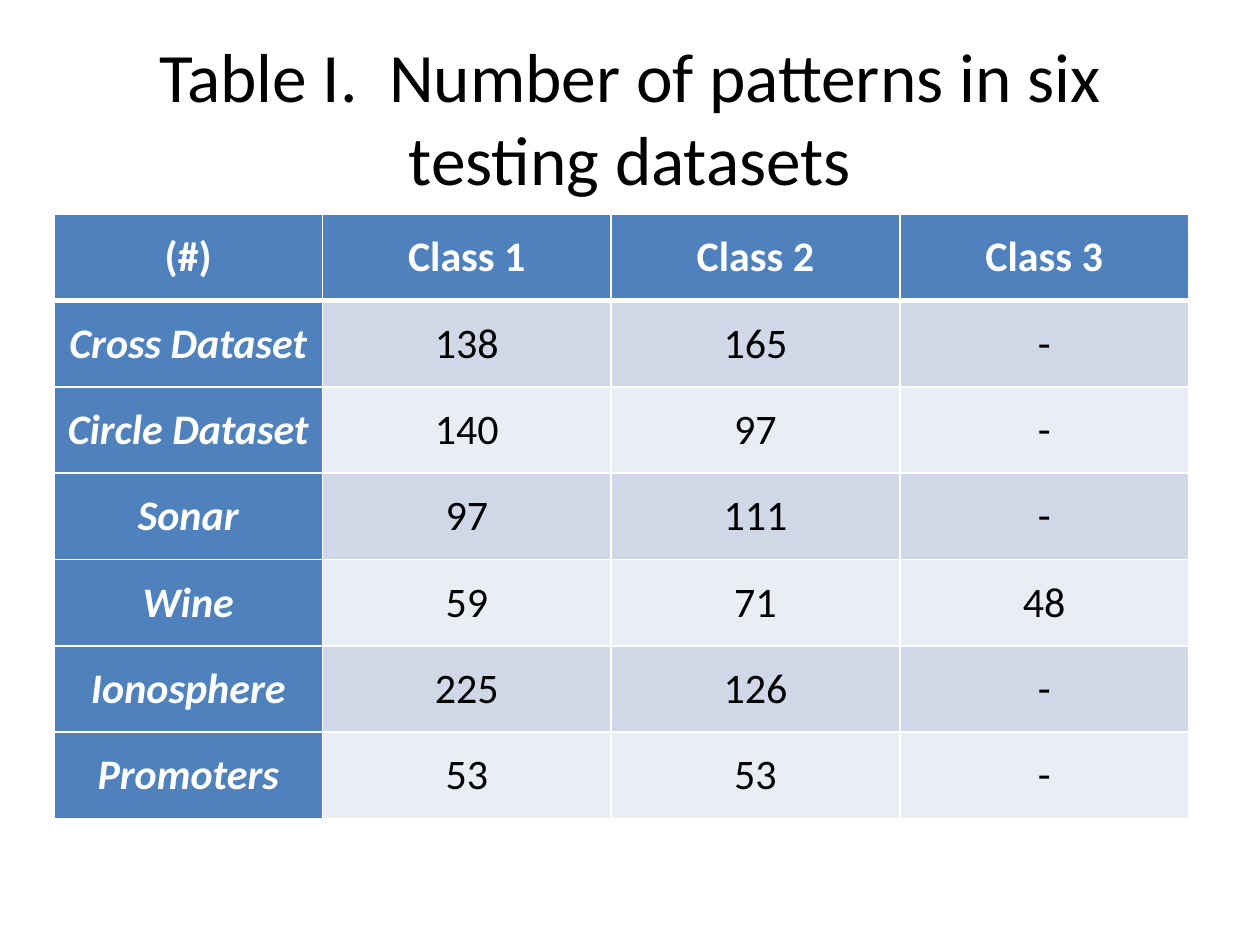
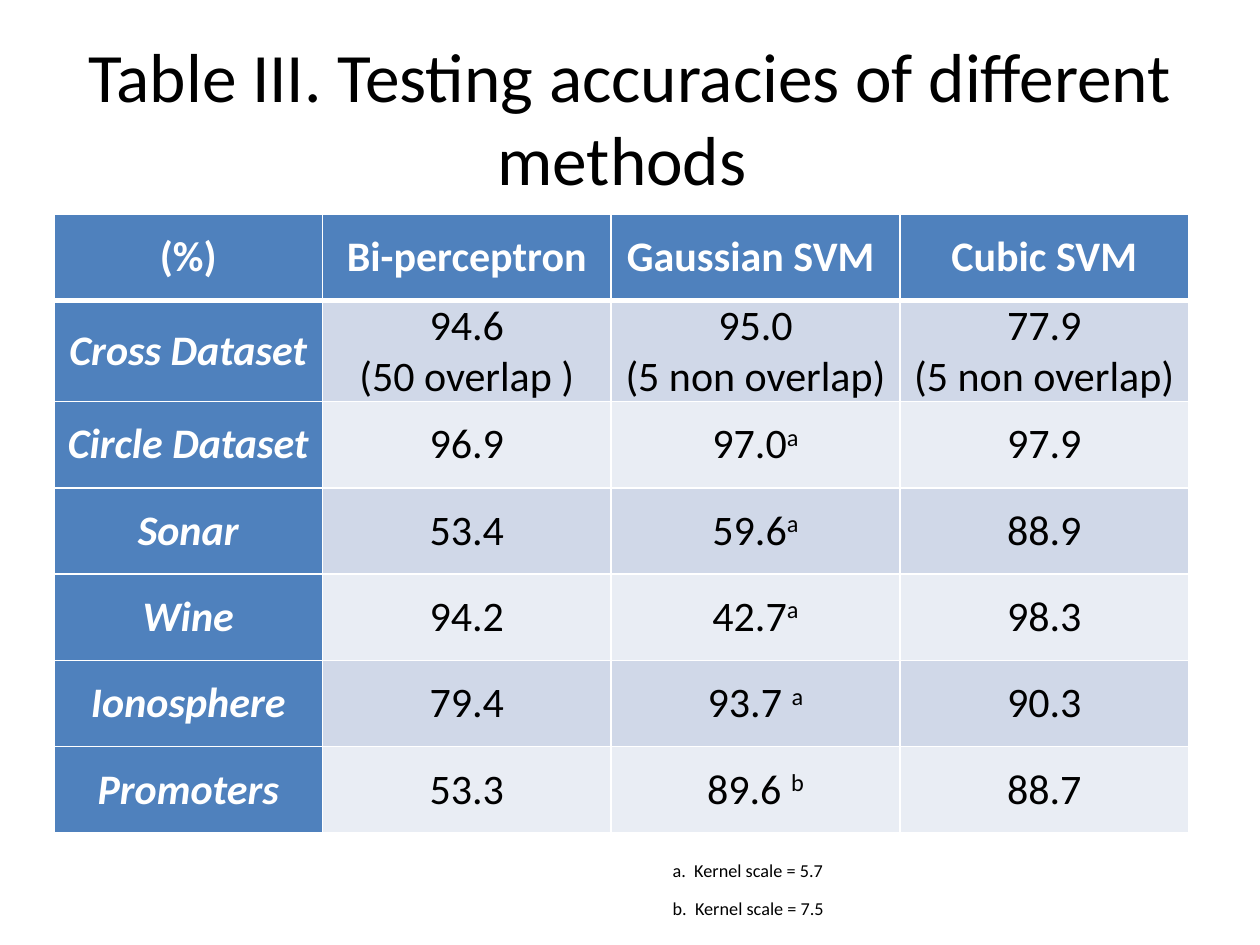
import dataclasses

import lxml.etree
import pptx
import pptx.dml.color
import pptx.enum.text
import pptx.oxml.ns
import pptx.util
from pptx.util import Cm


@dataclasses.dataclass(frozen=True)
class Theme:
    font: str = "Calibri"
    text: str = "000000"
    header_text: str = "FFFFFF"
    header_fill: str = "4F81BD"
    band_fills: tuple = ("D0D8E8", "E9EDF4")
    border: str = "FFFFFF"
    border_width: float = 1
    header_border_width: float = 3
    title_size: float = 39.6
    table_size: float = 24
    note_size: float = 18


THEME = Theme()
SUPERSCRIPT = 30000
CENTER = pptx.enum.text.PP_ALIGN.CENTER
MIDDLE = pptx.enum.text.MSO_ANCHOR.MIDDLE

COLUMN_WIDTHS = (Cm(5.41), Cm(5.82), Cm(5.82), Cm(5.82))
ROW_HEIGHT = Cm(1.74)

DATASETS = ("Cross Dataset", "Circle Dataset", "Sonar", "Wine", "Ionosphere", "Promoters")

PATTERN_HEADERS = ("(#)", "Class 1", "Class 2", "Class 3")
PATTERN_COUNTS = (
    ("138", "165", "-"),
    ("140", "97", "-"),
    ("97", "111", "-"),
    ("59", "71", "48"),
    ("225", "126", "-"),
    ("53", "53", "-"),
)

# A caret starts a superscript; a line break starts a new paragraph.
ACCURACY_HEADERS = ("(%)", "Bi-perceptron", "Gaussian SVM ", "Cubic SVM")
ACCURACIES = (
    ("94.6\n(50 overlap )", "95.0\n(5 non overlap)", "77.9\n(5 non overlap)"),
    ("96.9", "97.0^a", "97.9"),
    ("53.4", "59.6^a", "88.9"),
    ("94.2", "42.7^a", "98.3"),
    ("79.4", "93.7 ^a", "90.3"),
    ("53.3", "89.6 ^b", "88.7"),
)
KERNEL_NOTES = "^a.  Kernel scale = 5.7\n^b.  Kernel scale = 7.5"


def rgb(value):
    return pptx.dml.color.RGBColor.from_string(value)


def set_attributes(target, values):
    for name, value in values.items():
        setattr(target, name, value)


def write_text(frame, text, size, color=THEME.text, alignment=None, **font_format):
    """Fill a text frame, raising whatever follows a caret."""
    for index, line in enumerate(text.split("\n")):
        paragraph = frame.add_paragraph() if index else frame.paragraphs[0]
        paragraph.alignment = alignment
        for level, part in enumerate(line.split("^")):
            if not part:
                continue
            run = paragraph.add_run()
            run.text = part
            font_values = {"name": THEME.font, "size": pptx.util.Pt(size), **font_format}
            set_attributes(run.font, font_values)
            run.font.color.rgb = rgb(color)
            if level:
                run.font._element.set("baseline", str(SUPERSCRIPT))


def add_text_box(slide, position, text, size, anchor=None, alignment=None):
    frame = slide.shapes.add_textbox(*position).text_frame
    set_attributes(frame, {"word_wrap": True, "vertical_anchor": anchor})
    write_text(frame, text, size, alignment=alignment)


def add_title(slide, text):
    position = (Cm(1.27), Cm(0.76), Cm(22.86), Cm(3.18))
    add_text_box(slide, position, text, THEME.title_size, MIDDLE, CENTER)


def set_cell_borders(cell, row_index):
    """Draw thin borders, with a thick rule between header and body."""
    widths = dict.fromkeys(("lnL", "lnR", "lnT", "lnB"), THEME.border_width)
    if row_index < 2:
        widths["lnT" if row_index else "lnB"] = THEME.header_border_width
    qualified = pptx.oxml.ns.qn
    properties = cell._tc.get_or_add_tcPr()
    for tag, width in widths.items():
        line = lxml.etree.SubElement(properties, qualified(f"a:{tag}"), w=str(pptx.util.Pt(width)))
        fill = lxml.etree.SubElement(line, qualified("a:solidFill"))
        lxml.etree.SubElement(fill, qualified("a:srgbClr"), val=THEME.border)


def format_cell(cell, text, row_index, column_index):
    is_header = row_index == 0 or column_index == 0
    set_cell_borders(cell, row_index)
    cell.fill.solid()
    band_fill = THEME.band_fills[(row_index - 1) % 2]
    cell.fill.fore_color.rgb = rgb(THEME.header_fill if is_header else band_fill)
    set_attributes(cell, {
        "vertical_anchor": MIDDLE,
        "margin_left": Cm(0.18),
        "margin_right": Cm(0.18),
        "margin_top": 0,
        "margin_bottom": 0,
    })
    write_text(
        cell.text_frame, text, THEME.table_size,
        color=THEME.header_text if is_header else THEME.text,
        alignment=CENTER, bold=is_header, italic=column_index == 0 and row_index > 0,
    )


def add_dataset_table(slide, headers, values):
    rows = [headers] + [(dataset, *results) for dataset, results in zip(DATASETS, values)]
    table = slide.shapes.add_table(
        len(rows), len(headers), Cm(1.09), Cm(4.32),
        sum(COLUMN_WIDTHS), ROW_HEIGHT * len(rows),
    ).table
    for column, width in zip(table.columns, COLUMN_WIDTHS):
        column.width = width
    for row_index, row in enumerate(rows):
        table.rows[row_index].height = ROW_HEIGHT
        for column_index, text in enumerate(row):
            format_cell(table.cell(row_index, column_index), text, row_index, column_index)


def add_table_slide(presentation, title, headers, values):
    slide = presentation.slides.add_slide(presentation.slide_layouts[6])
    add_title(slide, title)
    add_dataset_table(slide, headers, values)
    return slide


def main():
    presentation = pptx.Presentation()
    set_attributes(presentation, {"slide_width": Cm(25.4), "slide_height": Cm(19.05)})
    add_table_slide(
        presentation, "Table I.  Number of patterns in six testing datasets",
        PATTERN_HEADERS, PATTERN_COUNTS,
    )
    accuracy_slide = add_table_slide(
        presentation, "Table III. Testing accuracies of different methods ",
        ACCURACY_HEADERS, ACCURACIES,
    )
    notes_position = (Cm(13.31), Cm(17.12), Cm(4.8), Cm(1.27))
    add_text_box(accuracy_slide, notes_position, KERNEL_NOTES, THEME.note_size)
    presentation.save("out.pptx")


if __name__ == "__main__":
    main()
